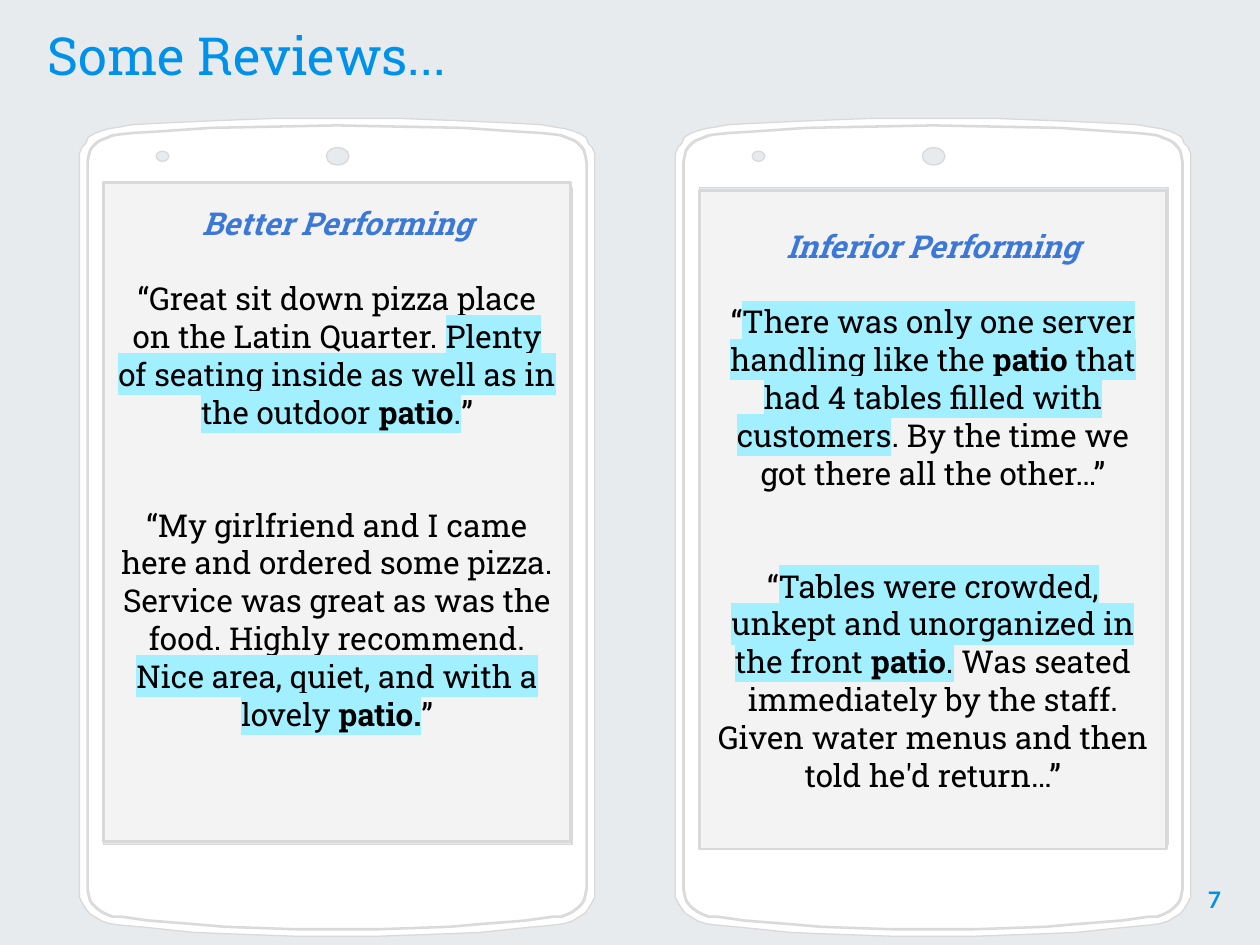
import math

import lxml.etree
import pptx
import pptx.dml.color
import pptx.enum.shapes
import pptx.enum.text
import pptx.oxml.ns
import pptx.util

Inches = pptx.util.Inches
Pt = pptx.util.Pt
RGB = pptx.dml.color.RGBColor
ALIGN = pptx.enum.text.PP_ALIGN
ANCHOR = pptx.enum.text.MSO_ANCHOR
RECT = pptx.enum.shapes.MSO_SHAPE.RECTANGLE
qn = pptx.oxml.ns.qn

BLUE = RGB(0x00, 0x91, 0xEA)
HEAD = RGB(0x3C, 0x78, 0xD8)
MARK = RGB(0xA1, 0xEF, 0xFF)
MIST = RGB(0xCF, 0xD8, 0xDC)
EDGE = RGB(0xD9, 0xD9, 0xD9)
PANEL = RGB(0xF3, 0xF3, 0xF3)
WHITE = RGB(0xFF, 0xFF, 0xFF)
BLACK = RGB(0x00, 0x00, 0x00)
SLAB = "Roboto Slab"

WIDTH, HEIGHT = 4.09, 6.49
# Left halves of the phone's outlines, from top centre to bottom centre
SHELL = [
    (2.05, 0), (1.54, 0), (1.03, .02), (.59, .04), (.42, .05), (.31, .07),
    (.24, .08), (.17, .1), (.12, .12), (.07, .15), (.05, .2), (.02, .23),
    (0, .28), (0, .34), (0, 6.12), (0, 6.18), (.02, 6.22), (.05, 6.27),
    (.08, 6.31), (.13, 6.34), (.18, 6.37), (.24, 6.39), (.31, 6.4),
    (.53, 6.42), (.91, 6.46), (1.15, 6.47), (1.43, 6.48), (1.72, 6.49),
]
RIM = [
    (2.05, .05), (1.55, .06), (1.04, .07), (.6, .1), (.43, .11), (.33, .12),
    (.26, .13), (.21, .15), (.16, .17), (.13, .19), (.1, .22), (.08, .25),
    (.07, .29), (.06, .34), (.06, 6.12), (.07, 6.17), (.08, 6.21),
    (.1, 6.24), (.13, 6.27), (.17, 6.3), (.21, 6.32), (.26, 6.34),
    (.33, 6.34), (.54, 6.37), (.92, 6.4), (1.15, 6.42), (1.43, 6.43),
    (1.72, 6.44),
]

# Each review is a list of (text, style): h is highlighted, b is bold
BETTER = [
    [("“Great sit down pizza place on the Latin Quarter. ", ""),
     ("Plenty of seating inside as well as in the outdoor ", "h"),
     ("patio", "hb"), (".", "h"), ("”", "")],
    [("“My girlfriend and I came here and ordered some pizza. "
      "Service was great as was the food. Highly recommend. ", ""),
     ("Nice area, quiet, and with a lovely ", "h"),
     ("patio.", "hb"), ("”", "")],
]
WORSE = [
    [("“", ""), ("There was only one server handling like the ", "h"),
     ("patio", "hb"), (" that had 4 tables filled with customers", "h"),
     (". By the time we got there all the other…”", "")],
    [("“", ""),
     ("Tables were crowded, unkept and unorganized in the front ", "h"),
     ("patio", "hb"), (".", "h"),
     (" Was seated immediately by the staff. Given water menus and then "
      "told he'd return…”", "")],
]


def style(run, size, color, name=SLAB, bold=False, italic=False):
    font = run.font
    font.size, font.name = Pt(size), name
    font.bold, font.italic = bold, italic
    font.color.rgb = color


def mark(run):
    """Highlight a run that already has its colour."""
    tint = lxml.etree.Element(qn("a:highlight"))
    lxml.etree.SubElement(tint, qn("a:srgbClr"), val=str(MARK))
    run._r.get_or_add_rPr().find(qn("a:solidFill")).addnext(tint)


def pad(frame, bottom=0.1):
    frame.word_wrap = True
    frame.auto_size = pptx.enum.text.MSO_AUTO_SIZE.NONE
    frame.margin_left = frame.margin_right = frame.margin_top = Inches(0.1)
    frame.margin_bottom = Inches(bottom)


def paint(shape, fill, line, width):
    shape.shadow.inherit = False
    shape.fill.solid()
    shape.fill.fore_color.rgb = fill
    shape.line.color.rgb = line
    shape.line.width = Pt(width)


def add_back(slide, left, top, width, height):
    back = slide.shapes.add_shape(
        RECT, Inches(left), Inches(top), Inches(width), Inches(height))
    back.shadow.inherit = False
    back.fill.solid()
    back.fill.fore_color.rgb = MIST
    back.line.fill.background()
    tone = back._element.spPr.find(qn("a:solidFill"))[0]
    lxml.etree.SubElement(tone, qn("a:alpha"), val="49000")
    slide.shapes._spTree.insert(2, back._element)


def add_title(slide, left, top, width, height):
    title = slide.shapes.title
    title.left, title.top = Inches(left), Inches(top)
    title.width, title.height = Inches(width), Inches(height)
    frame = title.text_frame
    frame.text = "Some Reviews..."
    pad(frame)
    frame.vertical_anchor = ANCHOR.MIDDLE
    frame.paragraphs[0].alignment = ALIGN.LEFT
    style(frame.paragraphs[0].runs[0], 30, BLUE)


def add_number(slide, left, top, width, height):
    box = slide.shapes.add_textbox(
        Inches(left), Inches(top), Inches(width), Inches(height))
    frame = box.text_frame
    frame.text = "7"
    pad(frame)
    frame.paragraphs[0].alignment = ALIGN.RIGHT
    style(frame.paragraphs[0].runs[0], 13, BLUE, "Lato", bold=True)


def mirror(half):
    return half + [(WIDTH - x, y) for x, y in reversed(half)]


def oval(x, y, wide, high, count=12):
    turns = [2 * math.pi * i / count for i in range(count)]
    return [(x + wide * math.cos(t), y + high * math.sin(t)) for t in turns]


def inset(points, gap):
    """Shrink an outline towards the middle of the phone."""
    mid_x, mid_y = WIDTH / 2, HEIGHT / 2
    return [(mid_x + (x - mid_x) * (1 - gap / mid_x),
             mid_y + (y - mid_y) * (1 - gap / mid_y)) for x, y in points]


def add_phone(slide, left, top):
    rim = mirror(RIM)
    screen = [(.19, .55), (3.91, .55), (3.91, 5.76), (.19, 5.76)]
    loops = [mirror(SHELL), rim, inset(rim, 0.01), screen,
             oval(.66, .3, .05, .04), oval(2.05, .3, .09, .07)]
    pen = None
    for loop in loops:
        spots = [(Inches(left + x), Inches(top + y)) for x, y in loop]
        if pen is None:
            pen = slide.shapes.build_freeform(*spots[0])
        else:
            pen.move_to(*spots[0])
        pen.add_line_segments(spots[1:], close=True)
    paint(pen.convert_to_shape(), WHITE, EDGE, 0.75)


def add_panel(slide, left, top, head, reviews, bottom):
    panel = slide.shapes.add_shape(
        RECT, Inches(left), Inches(top), Inches(3.71), Inches(5.23))
    paint(panel, PANEL, EDGE, 1.5)
    frame = panel.text_frame
    frame.text = head
    pad(frame, bottom)
    frame.vertical_anchor = ANCHOR.MIDDLE
    frame.paragraphs[0].alignment = ALIGN.CENTER
    style(frame.paragraphs[0].runs[0], 18, HEAD, bold=True, italic=True)
    for review, gap in zip(reviews, (21.5, 43)):
        para = frame.add_paragraph()
        para.alignment = ALIGN.CENTER
        para.space_before = Pt(gap)
        for text, kind in review:
            run = para.add_run()
            run.text = text
            style(run, 18, BLACK, bold="b" in kind)
            if "h" in kind:
                mark(run)


def main():
    deck = pptx.Presentation()
    deck.slide_width, deck.slide_height = Inches(10), Inches(7.5)
    slide = deck.slides.add_slide(deck.slide_layouts[5])
    add_back(slide, -0.03, -0.02, 10.06, 7.54)
    add_title(slide, 0.28, 0, 9.93, 0.87)
    add_number(slide, 9.19, 6.93, 0.6, 0.57)
    add_phone(slide, 0.63, 0.94)
    add_panel(slide, 0.82, 1.45, "Better Performing", BETTER, 0.8)
    add_phone(slide, 5.36, 0.94)
    add_panel(slide, 5.55, 1.51, "Inferior Performing", WORSE, 0.25)
    deck.save("out.pptx")


if __name__ == "__main__":
    main()
